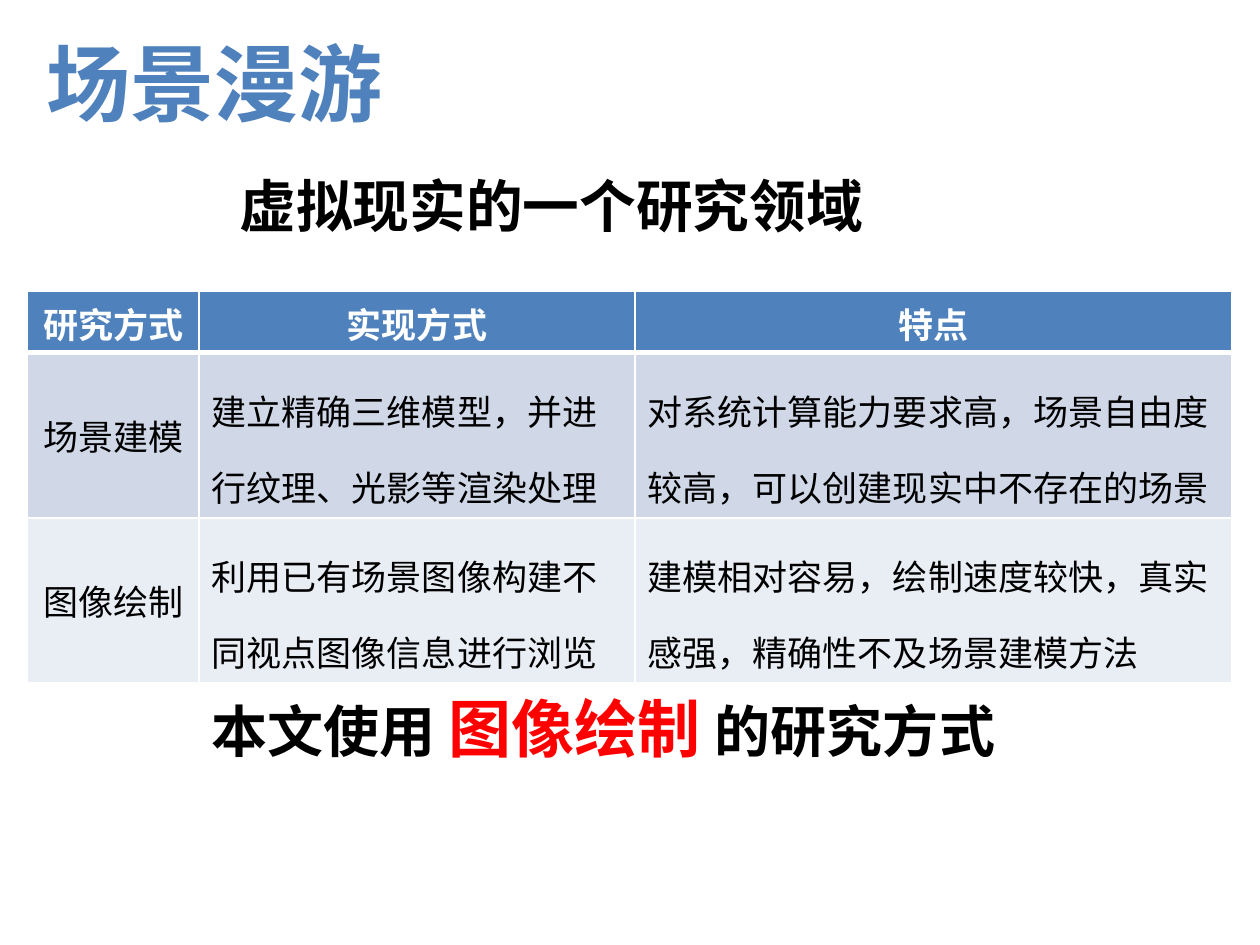
from dataclasses import dataclass

from lxml.etree import SubElement
from pptx import Presentation
from pptx.dml.color import RGBColor as RGB
from pptx.enum.text import MSO_ANCHOR as Anchor, PP_ALIGN as Align
from pptx.oxml.ns import qn
from pptx.util import Inches, Pt

COLUMNS, ROWS = 100, 75


@dataclass(frozen=True)
class Theme:
    accent: str = "4F81BD"
    ink: str = "000000"
    paper: str = "FFFFFF"
    highlight: str = "FF0000"
    bands: tuple = ("D0D8E8", "E9EDF4")
    heading_font: str = "Cabin"
    body_font: str = "Arial"
    title_size: float = 48
    lead_size: float = 32.4
    note_size: float = 32
    emphasis_size: float = 36
    table_size: float = 20


class SlideBuilder:
    """Places elements on a grid of COLUMNS by ROWS."""

    def __init__(self, presentation, theme):
        self.theme = theme
        self.unit_x = presentation.slide_width / COLUMNS
        self.unit_y = presentation.slide_height / ROWS
        self.slide = presentation.slides.add_slide(presentation.slide_layouts[5])

    def box(self, left, top, width, height):
        return (round(left * self.unit_x), round(top * self.unit_y),
                round(width * self.unit_x), round(height * self.unit_y))

    def style(self, run, font, size, color, bold=True):
        run.font.name = font
        run.font.size = Pt(size)
        run.font.bold = bold
        run.font.color.rgb = RGB.from_string(color)

    def fill_text(self, shape, font, pieces):
        """Write one left-aligned paragraph from (text, size, color) pieces."""
        frame = shape.text_frame
        frame.word_wrap = True
        frame.vertical_anchor = Anchor.TOP
        frame.margin_left = frame.margin_right = Inches(0.15)
        frame.margin_top = frame.margin_bottom = Inches(0.12)
        paragraph = frame.paragraphs[0]
        paragraph.alignment = Align.LEFT
        paragraph.line_spacing = 0.9
        for text, size, color in pieces:
            run = paragraph.add_run()
            run.text = text
            self.style(run, font, size, color)

    def title(self, text, area):
        shape = self.slide.shapes.title
        shape.left, shape.top, shape.width, shape.height = self.box(*area)
        self.fill_text(shape, self.theme.heading_font,
                       [(text, self.theme.title_size, self.theme.accent)])

    def text(self, pieces, area):
        shape = self.slide.shapes.add_textbox(*self.box(*area))
        self.fill_text(shape, self.theme.body_font, pieces)

    def border(self, cell, widths):
        properties = cell._tc.get_or_add_tcPr()
        for side, width in zip("LRTB", widths):
            line = SubElement(properties, qn(f"a:ln{side}"), w=str(Pt(width)))
            fill = SubElement(line, qn("a:solidFill"))
            SubElement(fill, qn("a:srgbClr"), val=self.theme.paper)

    def table_cell(self, cell, text, row, column):
        theme, header = self.theme, row == 0
        self.border(cell, (1, 1, 3 if row == 1 else 1, 3 if header else 1))
        cell.fill.solid()
        cell.fill.fore_color.rgb = RGB.from_string(
            theme.accent if header else theme.bands[(row - 1) % 2])
        cell.vertical_anchor = Anchor.TOP if header else Anchor.MIDDLE
        cell.text_frame.text = text
        paragraph = cell.text_frame.paragraphs[0]
        if header or column == 0:
            paragraph.alignment = Align.CENTER
        else:
            paragraph.line_spacing = 1.5
        self.style(paragraph.runs[0], theme.heading_font, theme.table_size,
                   theme.paper if header else theme.ink, header)

    def table(self, content, left, top, widths, heights):
        area = self.box(left, top, sum(widths), sum(heights))
        table = self.slide.shapes.add_table(len(heights), len(widths), *area).table
        for column, width in zip(table.columns, widths):
            column.width = round(width * self.unit_x)
        for row, height in zip(table.rows, heights):
            row.height = round(height * self.unit_y)
        for row, texts in enumerate(content):
            for column, text in enumerate(texts):
                self.table_cell(table.cell(row, column), text, row, column)


METHODS = [
    ("研究方式", "实现方式", "特点"),
    ("场景建模", "建立精确三维模型，并进行纹理、光影等渲染处理",
     "对系统计算能力要求高，场景自由度较高，可以创建现实中不存在的场景"),
    ("图像绘制", "利用已有场景图像构建不同视点图像信息进行浏览",
     "建模相对容易，绘制速度较快，真实感强，精确性不及场景建模方法"),
]


def main():
    presentation = Presentation()
    presentation.slide_width, presentation.slide_height = Inches(10), Inches(7.5)
    theme = Theme()
    builder = SlideBuilder(presentation, theme)
    builder.title("场景漫游", (2.2, 2.2, 95.6, 10.7))
    builder.text([("虚拟现实的一个研究领域", theme.lead_size, theme.ink)],
                 (17.5, 13, 80.3, 9.5))
    builder.table(METHODS, 2.2, 23.1, (13.6, 34.6, 47.4), (4.9, 13.1, 13.1))
    builder.text([("本文使用 ", theme.note_size, theme.ink),
                  ("图像绘制 ", theme.emphasis_size, theme.highlight),
                  ("的研究方式", theme.note_size, theme.ink)],
                 (15.3, 54.2, 69.4, 9.5))
    presentation.save("out.pptx")


if __name__ == "__main__":
    main()
